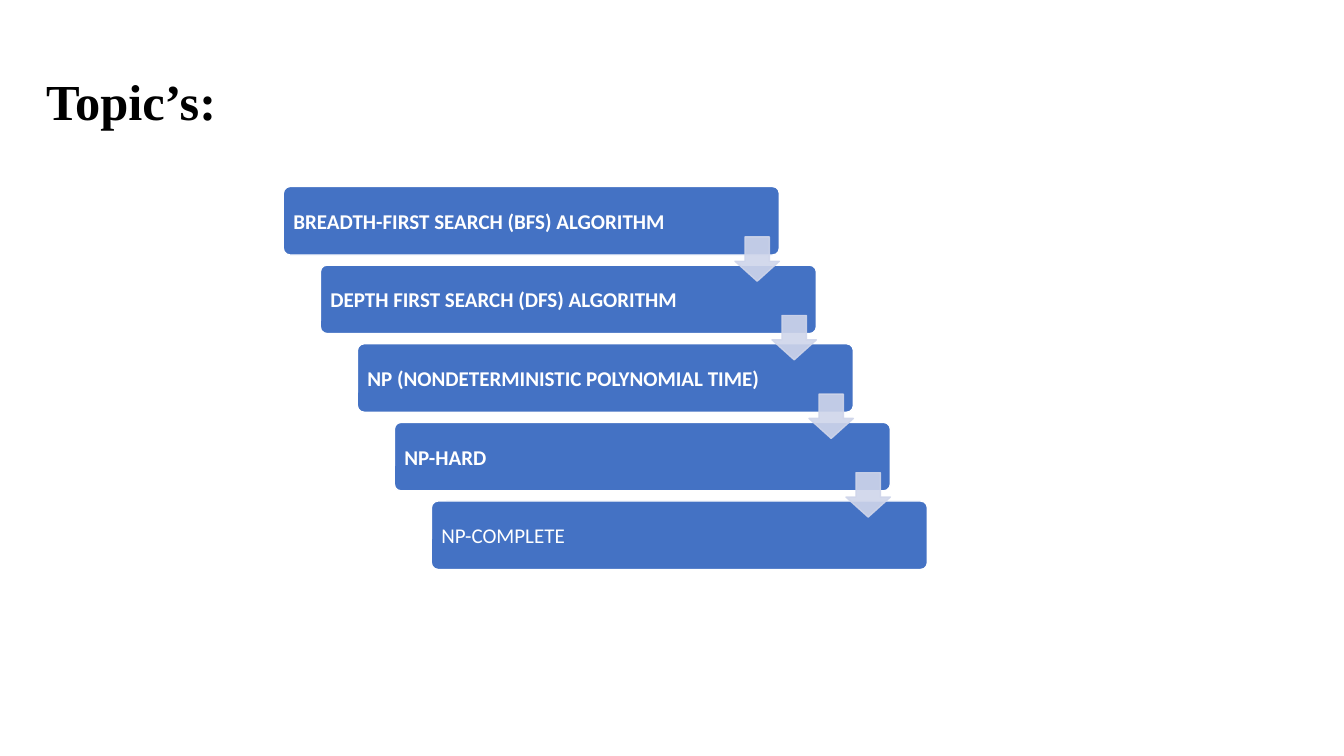
"""Build a slide that lists the topics as a descending staircase."""
from lxml import etree
from pptx import Presentation, util as u
from pptx.dml.color import RGBColor
from pptx.enum import shapes, text
from pptx.oxml.ns import qn

TITLE = "Topic’s:"
TOPICS = [
    ("BREADTH-FIRST SEARCH (BFS) ALGORITHM", True),
    ("DEPTH FIRST SEARCH (DFS) ALGORITHM", True),
    ("NP (NONDETERMINISTIC POLYNOMIAL TIME)", True),
    ("NP-HARD", True),
    ("NP-COMPLETE", False),
]
BLACK = RGBColor(0, 0, 0)
WHITE = RGBColor(255, 255, 255)
BLUE = RGBColor(0x44, 0x72, 0xC4)
PALE = RGBColor(0xCF, 0xD5, 0xEA)

LEFT, TOP = u.Inches(2.81), u.Inches(1.85)
WIDE, HIGH = u.Inches(4.92), u.Inches(0.68)
STEP, DROP = u.Inches(0.367), u.Inches(0.78)
SIDE = u.Inches(0.44)
ARROW_X, ARROW_Y = u.Inches(4.48), u.Inches(0.5)
MARGIN = u.Inches(0.08)


def write(box, words, size, font="Calibri", color=WHITE, bold=True,
          anchor=text.MSO_ANCHOR.MIDDLE, left=MARGIN, top=MARGIN, space=1.0):
    frame = box.text_frame
    frame.word_wrap = True
    frame.vertical_anchor = anchor
    frame.margin_left = frame.margin_right = left
    frame.margin_top = frame.margin_bottom = top
    para = frame.paragraphs[0]
    para.alignment = text.PP_ALIGN.LEFT
    para.line_spacing = space
    run = para.add_run()
    run.text = words
    run.font.size = u.Pt(size)
    run.font.name = font
    run.font.bold = bold
    run.font.color.rgb = color


def draw(slide, kind, place, fill, line, adjust):
    item = slide.shapes.add_shape(kind, *place)
    item.shadow.inherit = False
    item.fill.solid()
    item.fill.fore_color.rgb = fill
    item.line.color.rgb = line
    item.line.width = u.Pt(1)
    for index, value in enumerate(adjust):
        item.adjustments[index] = value
    return item


def fade(item, percent):
    for color in item.element.spPr.iter(qn("a:srgbClr")):
        etree.SubElement(color, qn("a:alpha")).set("val", str(percent * 1000))


def main():
    deck = Presentation()
    deck.slide_width, deck.slide_height = u.Inches(13.33), u.Inches(7.5)
    slide = deck.slides.add_slide(deck.slide_layouts[6])

    title = slide.shapes.add_textbox(
        u.Inches(0.36), u.Inches(0.7), u.Inches(3.49), u.Inches(0.61))
    write(title, TITLE, 36, font="Times New Roman", color=BLACK,
          anchor=text.MSO_ANCHOR.TOP, left=u.Inches(0.1),
          top=u.Inches(0.11), space=0.8)

    spots = [(LEFT + i * STEP, TOP + i * DROP) for i in range(len(TOPICS))]
    for (x, y), (topic, bold) in zip(spots, TOPICS):
        bar = draw(slide, shapes.MSO_SHAPE.ROUNDED_RECTANGLE,
                   (x, y, WIDE, HIGH), BLUE, WHITE, [0.1])
        write(bar, topic, 15, bold=bold)
    for x, y in spots[:-1]:
        arrow = draw(slide, shapes.MSO_SHAPE.DOWN_ARROW,
                     (x + ARROW_X, y + ARROW_Y, SIDE, SIDE),
                     PALE, PALE, [0.55, 0.45])
        fade(arrow, 90)

    deck.save("out.pptx")


if __name__ == "__main__":
    main()
